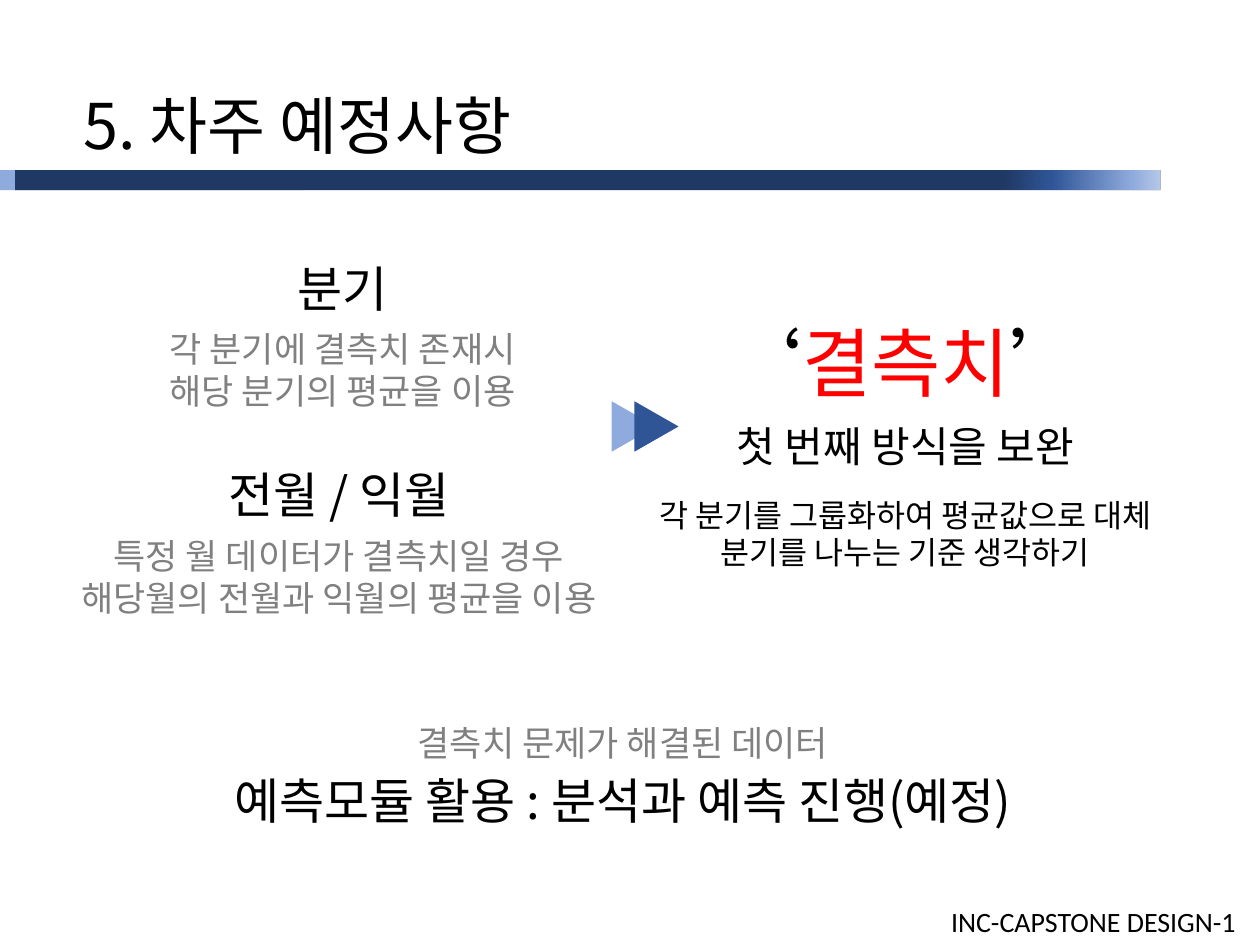
from dataclasses import dataclass

from lxml.etree import SubElement
from pptx import Presentation
from pptx.dml.color import RGBColor as Color
from pptx.enum.shapes import MSO_SHAPE as Shape
from pptx.enum.text import MSO_ANCHOR as Anchor, PP_ALIGN as Align
from pptx.oxml.ns import qn
from pptx.util import Inches, Pt


@dataclass(frozen=True)
class Theme:
    korean: str = "Noto Sans CJK KR"
    latin: str = "Calibri"
    black: str = "000000"
    gray: str = "808080"
    red: str = "FF0000"
    pale: str = "B4C7E7"
    light: str = "8FAADC"
    blue: str = "2F5597"
    navy: str = "203864"
    title: int = 36
    keyword: int = 43
    heading: int = 28
    subheading: int = 24
    body: int = 20
    detail: int = 18
    footer: int = 16


THEME = Theme()


def add_span(para, text, size, color=THEME.black, font=THEME.korean):
    span = para.add_run()
    span.text = text
    span.font.size = Pt(size)
    span.font.name = font
    span.font.color.rgb = Color.from_string(color)
    east_asian = SubElement(span.font._element, qn("a:ea"))
    east_asian.set("typeface", font)


class SlideBuilder:
    def __init__(self, theme):
        self.theme = theme
        self.deck = Presentation()
        self.deck.slide_width = Inches(10)
        self.deck.slide_height = Inches(7.5)
        self.page = self.deck.slides.add_slide(self.deck.slide_layouts[5])

    def title(self, text, left, top, width, height):
        box = self.page.shapes.title
        box.left, box.top = Inches(left), Inches(top)
        box.width, box.height = Inches(width), Inches(height)
        box.text_frame.vertical_anchor = Anchor.TOP
        para = box.text_frame.paragraphs[0]
        para.alignment = Align.LEFT
        add_span(para, text, self.theme.title)

    def text(self, lines, left, top, width, height, align=Align.CENTER):
        box = self.page.shapes.add_textbox(
            Inches(left), Inches(top), Inches(width), Inches(height))
        frame = box.text_frame
        frame.word_wrap = True
        for index, (gap, spans) in enumerate(lines):
            para = frame.add_paragraph() if index else frame.paragraphs[0]
            para.alignment = align
            para.space_before = Pt(gap)
            for text, style in spans:
                add_span(para, text, **style)

    def shape(self, kind, color, left, top, width, height, rotation=0):
        shape = self.page.shapes.add_shape(
            kind, Inches(left), Inches(top), Inches(width), Inches(height))
        shape.shadow.inherit = False
        shape.rotation = rotation
        shape.line.fill.background()
        shape.fill.solid()
        shape.fill.fore_color.rgb = Color.from_string(color)
        return shape

    def gradient(self, stops, left, top, width, height):
        shape = self.shape(Shape.RECTANGLE, stops[0][1], left, top, width, height)
        shape.fill.gradient()
        shape.fill.gradient_angle = 180
        stop_list = shape.fill._fill._gradFill.find(qn("a:gsLst"))
        for stop in list(stop_list):
            stop_list.remove(stop)
        for percent, color in stops:
            stop = SubElement(stop_list, qn("a:gs"), pos=str(percent * 1000))
            SubElement(stop, qn("a:srgbClr"), val=color)

    def save(self):
        self.deck.save("out.pptx")


def main():
    theme = THEME
    slide = SlideBuilder(theme)
    heading = {"size": theme.heading}
    muted = {"size": theme.body, "color": theme.gray}
    detail = {"size": theme.detail}
    keyword = {"size": theme.keyword}

    bar_top, bar_height = 1.35, 0.16
    slide.shape(Shape.RECTANGLE, theme.light, 0, bar_top, 2.41, bar_height)
    slide.shape(Shape.RECTANGLE, theme.navy, 0.12, bar_top, 9.09, bar_height)
    slide.gradient(
        [(0, theme.pale), (18, theme.light), (69, theme.blue), (100, theme.navy)],
        7.96, bar_top, 1.25, bar_height)
    slide.title("5. 차주 예정사항", 0.56, 0.64, 7.24, 0.71)

    methods = [
        ("분기", "각 분기에 결측치 존재시", "해당 분기의 평균을 이용",
         (0.63, 2, 4.18, 1.38)),
        ("전월 / 익월", "특정 월 데이터가 결측치일 경우",
         "해당월의 전월과 익월의 평균을 이용", (0.25, 3.64, 4.88, 1.38)),
    ]
    for name, case, remedy, place in methods:
        slide.text([(0, [(name, heading)]), (6, [(case, muted)]),
                    (0, [(remedy, muted)])], *place)

    slide.text([
        (0, [("첫 번째 방식을 보완", {"size": theme.subheading})]),
        (14, [("각 분기를 그룹화하여 평균값으로 대체", detail)]),
        (0, [("분기를 나누는 기준 생각하기", detail)]),
    ], 3.94, 3.29, 6.49, 1.31)
    slide.text([(0, [("‘", keyword), ("결측치", {**keyword, "color": theme.red}),
                     ("’", keyword)])], 4.57, 2.46, 5.24, 0.81)

    for left, color in ((4.83, theme.light), (5.01, theme.blue)):
        slide.shape(Shape.ISOSCELES_TRIANGLE, color, left, 3.21, 0.4, 0.35, 90)

    slide.text([
        (0, [("결측치 문제가 해결된 데이터", muted)]),
        (4, [("예측모듈 활용 : 분석과 예측 진행(예정)", heading)]),
    ], 1.02, 5.68, 7.85, 0.96)
    slide.text([(0, [("INC-CAPSTONE DESIGN-1",
                      {"size": theme.footer, "font": theme.latin})])],
               7.45, 7.13, 2.55, 0.37, Align.LEFT)
    slide.save()


if __name__ == "__main__":
    main()
